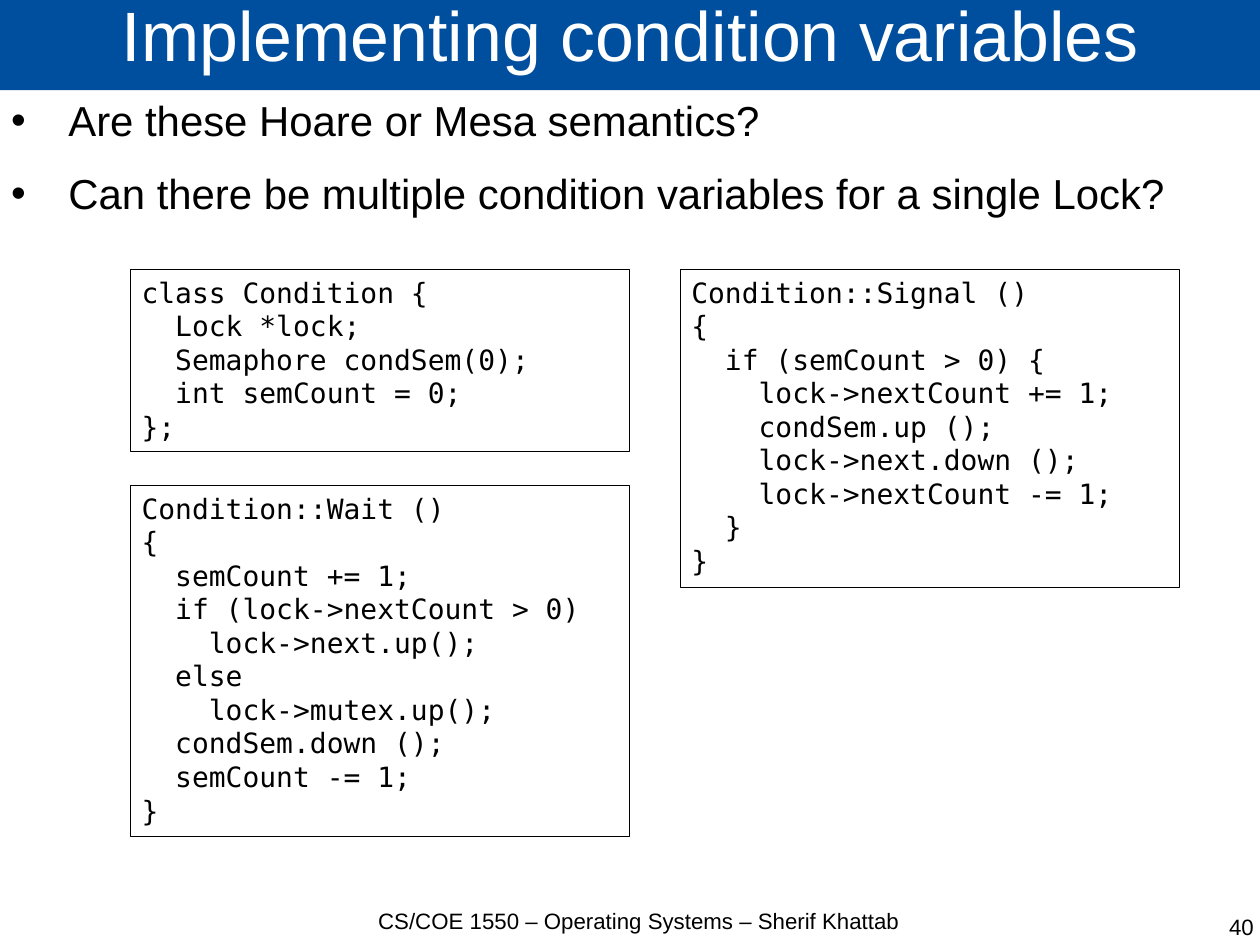
from lxml import etree
from pptx import Presentation
from pptx.dml.color import RGBColor
from pptx.enum.shapes import MSO_SHAPE
from pptx.enum.text import MSO_ANCHOR, MSO_AUTO_SIZE, PP_ALIGN
from pptx.oxml.ns import qn
from pptx.util import Inches, Pt

RECT = MSO_SHAPE.RECTANGLE
TOP, MIDDLE = MSO_ANCHOR.TOP, MSO_ANCHOR.MIDDLE
LEFT, CENTER, RIGHT = PP_ALIGN.LEFT, PP_ALIGN.CENTER, PP_ALIGN.RIGHT
NO_FIT = MSO_AUTO_SIZE.NONE

COLORS = {"band": "004F9E", "title": "FFFFFF", "text": "000000"}
SANS, MONO = "Arial", "DejaVu Sans Mono"
# The page is 28 by 21 cm
WIDE, TALL = 28 / 2.54, 21 / 2.54
PAD, FLUSH = (0.1, 0.05), (0, 0)

POINTS = [
    "Are these Hoare or Mesa semantics?",
    "Can there be multiple condition variables for a single Lock?",
]
CLASS = """class Condition {
  Lock *lock;
  Semaphore condSem(0);
  int semCount = 0;
};"""
WAIT = """Condition::Wait ()
{
  semCount += 1;
  if (lock->nextCount > 0)
    lock->next.up();
  else
    lock->mutex.up();
  condSem.down ();
  semCount -= 1;
}"""
SIGNAL = """Condition::Signal ()
{
  if (semCount > 0) {
    lock->nextCount += 1;
    condSem.up ();
    lock->next.down ();
    lock->nextCount -= 1;
  }
}"""


def rgb(name):
    return RGBColor.from_string(COLORS[name])


def apply(item, style):
    for name, value in style.items():
        setattr(item, name, value)


def write(shape, lines, size, font=SANS, color="text", pad=PAD,
          anchor=TOP, **style):
    """Fill a shape with one paragraph per line."""
    frame = shape.text_frame
    side, edge = (Inches(gap) for gap in pad)
    apply(frame, {
        "word_wrap": True, "auto_size": NO_FIT, "vertical_anchor": anchor,
        "margin_left": side, "margin_right": side,
        "margin_top": edge, "margin_bottom": edge,
    })
    for i, line in enumerate(lines):
        para = frame.add_paragraph() if i else frame.paragraphs[0]
        apply(para, style)
        run = para.add_run()
        run.text = line
        apply(run.font, {"size": Pt(size), "name": font})
        run.font.color.rgb = rgb(color)
    return frame.paragraphs


def add_title(slide, box, text):
    title = slide.shapes.title
    apply(title, dict(zip(("left", "top", "width", "height"),
                          map(Inches, box))))
    title.fill.solid()
    title.fill.fore_color.rgb = rgb("band")
    write(title, [text], 44, color="title", pad=FLUSH, anchor=MIDDLE,
          alignment=CENTER, line_spacing=0.69)


def add_points(slide, box, points):
    area = slide.shapes.add_textbox(*map(Inches, box))
    for para in write(area, points, 26.4, space_after=Pt(14.2)):
        # Hanging bullet
        props = para._p.get_or_add_pPr()
        props.set("marL", str(Inches(0.5)))
        props.set("indent", str(-Inches(0.5)))
        tint = etree.SubElement(props, qn("a:buClr"))
        etree.SubElement(tint, qn("a:srgbClr")).set("val", COLORS["text"])
        etree.SubElement(props, qn("a:buFont")).set("typeface", SANS)
        etree.SubElement(props, qn("a:buChar")).set("char", "•")


def add_code(slide, box, code):
    panel = slide.shapes.add_shape(RECT, *map(Inches, box))
    panel.shadow.inherit = False
    panel.fill.background()
    panel.line.color.rgb = rgb("text")
    panel.line.width = Pt(0.5)
    write(panel, code.splitlines(), 17.6, font=MONO, alignment=LEFT)


def add_note(slide, box, text, align):
    note = slide.shapes.add_textbox(*map(Inches, box))
    write(note, [text], 14, pad=FLUSH, alignment=align)


def main():
    deck = Presentation()
    deck.slide_width, deck.slide_height = Inches(WIDE), Inches(TALL)
    slide = deck.slides.add_slide(deck.slide_layouts[5])

    # Heading and questions
    add_title(slide, (0, -0.02, 11.04, 0.81), "Implementing condition variables")
    add_points(slide, (0, 0.78, 11.04, 7.18), POINTS)

    # Footer
    add_note(slide, (3.07, 7.94, 5.04, 0.55),
             "CS/COE 1550 – Operating Systems – Sherif Khattab", CENTER)
    add_note(slide, (8.44, 7.99, 2.53, 0.55), "40", RIGHT)

    # Code panels in two columns
    wide, first, second, top = 4.37, 1.14, 5.95, 2.36
    add_code(slide, (first, top, wide, 1.59), CLASS)
    add_code(slide, (first, top + 1.89, wide, 3.07), WAIT)
    add_code(slide, (second, top, wide, 2.78), SIGNAL)

    deck.save("out.pptx")


if __name__ == "__main__":
    main()
